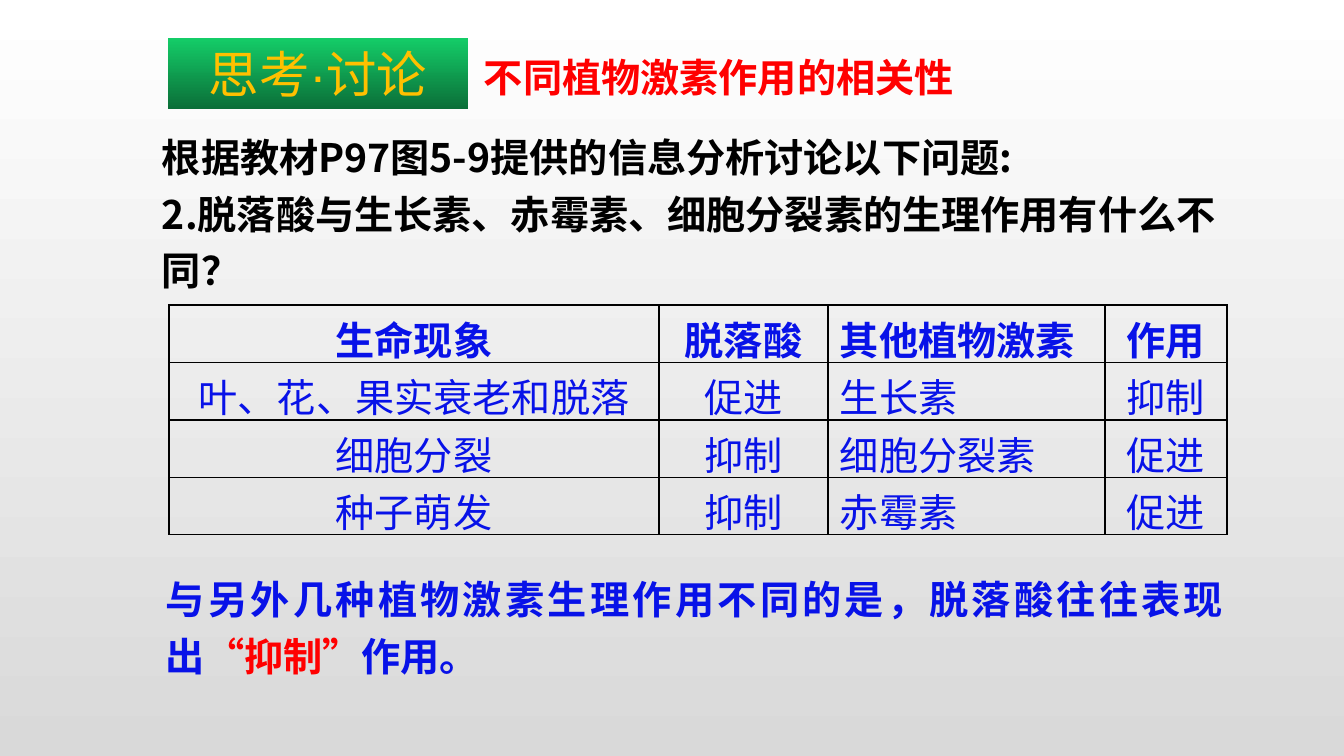
import pptx
import pptx.util
import pptx.dml.color
import pptx.enum.shapes
import pptx.enum.text
import pptx.oxml
import pptx.oxml.ns
import lxml.etree

ALIGN = pptx.enum.text.PP_ALIGN
ANCHOR = pptx.enum.text.MSO_ANCHOR
BLUE, RED = "0812E8", "FF0000"
SC, JP = "Noto Sans CJK SC", "Noto Sans CJK JP"
NAMESPACE = pptx.oxml.ns.nsdecls("a")


def px(length):
    return pptx.util.Emu(round(length * 914400 / 100.8))


def style(para, size, face, color, bold, align, spacing=1.0):
    para.alignment = align
    para.line_spacing = spacing
    font = para.font
    font.size = pptx.util.Pt(size)
    font.bold = bold
    font.color.rgb = pptx.dml.color.RGBColor.from_string(color)
    font.name = face
    east = lxml.etree.SubElement(font._element, pptx.oxml.ns.qn("a:ea"))
    east.set("typeface", SC if face == "Arial" else face)


deck = pptx.Presentation()
deck.slide_width, deck.slide_height = px(1344), px(756)
page = deck.slides.add_slide(deck.slide_layouts[5])

banner = page.shapes.add_shape(
    pptx.enum.shapes.MSO_SHAPE.RECTANGLE, px(168), px(38), px(300), px(71))
banner.shadow.inherit = False
banner.line.fill.background()

for fill, colors in ((page.background.fill, ("FFFFFF", "D9D9D9")),
                     (banner.fill, ("14CD68", "0B6E38"))):
    fill.gradient()
    fill.gradient_angle = 270
    for stop, color, position in zip(fill.gradient_stops, colors, (0, 1)):
        stop.color.rgb = pptx.dml.color.RGBColor.from_string(color)
        stop.position = position

para = banner.text_frame.paragraphs[0]
para.text = "思考·讨论"
style(para, 36, "Arial", "FFC000", False, ALIGN.CENTER)

title = page.shapes.title
title.left, title.top, title.width, title.height = px(460), px(41), px(566), px(72)
frame = title.text_frame
frame.text = "不同植物激素作用的相关性"
frame.auto_size = pptx.enum.text.MSO_AUTO_SIZE.NONE
frame.vertical_anchor = ANCHOR.TOP
frame.margin_left = frame.margin_right = px(24)
frame.margin_top = frame.margin_bottom = px(12)
style(frame.paragraphs[0], 28, SC, RED, True, ALIGN.LEFT)

question = page.shapes.add_textbox(px(157), px(119), px(1078), px(180))
frame = question.text_frame
frame.word_wrap = True
frame.margin_left = frame.margin_right = px(5)
frame.margin_top = frame.margin_bottom = px(5)
frame.text = ("根据教材P97图5-9提供的信息分析讨论以下问题:\n"
              "2.脱落酸与生长素、赤霉素、细胞分裂素的生理作用有什么不同？")
for para in frame.paragraphs:
    style(para, 28, SC, "000000", True, ALIGN.LEFT, 1.2)

answer = page.shapes.add_textbox(px(156), px(561), px(1078), px(124))
frame = answer.text_frame
frame.word_wrap = True
para = frame.paragraphs[0]
for words, color in (("与另外几种植物激素生理作用不同的是，脱落酸往往表现出", BLUE),
                     ("“抑制”", RED), ("作用。", BLUE)):
    span = para.add_run()
    span.text = words
    span.font.color.rgb = pptx.dml.color.RGBColor.from_string(color)
style(para, 28, JP, BLUE, True, ALIGN.JUSTIFY, 1.2)

rows = (
    ("生命现象", "脱落酸", "其他植物激素", "作用"),
    ("叶、花、果实衰老和脱落", "促进", "生长素", "抑制"),
    ("细胞分裂", "抑制", "细胞分裂素", "促进"),
    ("种子萌发", "抑制", "赤霉素", "促进"),
)
widths = (490, 169, 277, 122)
table = page.shapes.add_table(
    len(rows), len(widths), px(169), px(305), px(sum(widths)), px(230)).table
table.first_row = table.horz_banding = False
for column, width in zip(table.columns, widths):
    column.width = px(width)
for row_index, row in enumerate(rows):
    for column_index, words in enumerate(row):
        cell = table.cell(row_index, column_index)
        cell.text = words
        cell.margin_left = cell.margin_right = px(12 if column_index == 2 else 9)
        cell.margin_top = cell.margin_bottom = px(5)
        align = ALIGN.LEFT if column_index == 2 else ALIGN.CENTER
        style(cell.text_frame.paragraphs[0], 28, JP, BLUE, row_index == 0, align)
        for side in ("lnL", "lnR", "lnT", "lnB"):
            cell._tc.get_or_add_tcPr().append(pptx.oxml.parse_xml(
                f'<a:{side} {NAMESPACE} w="12700"><a:solidFill>'
                f'<a:srgbClr val="000000"/></a:solidFill></a:{side}>'))
        cell.fill.background()

deck.save("out.pptx")
